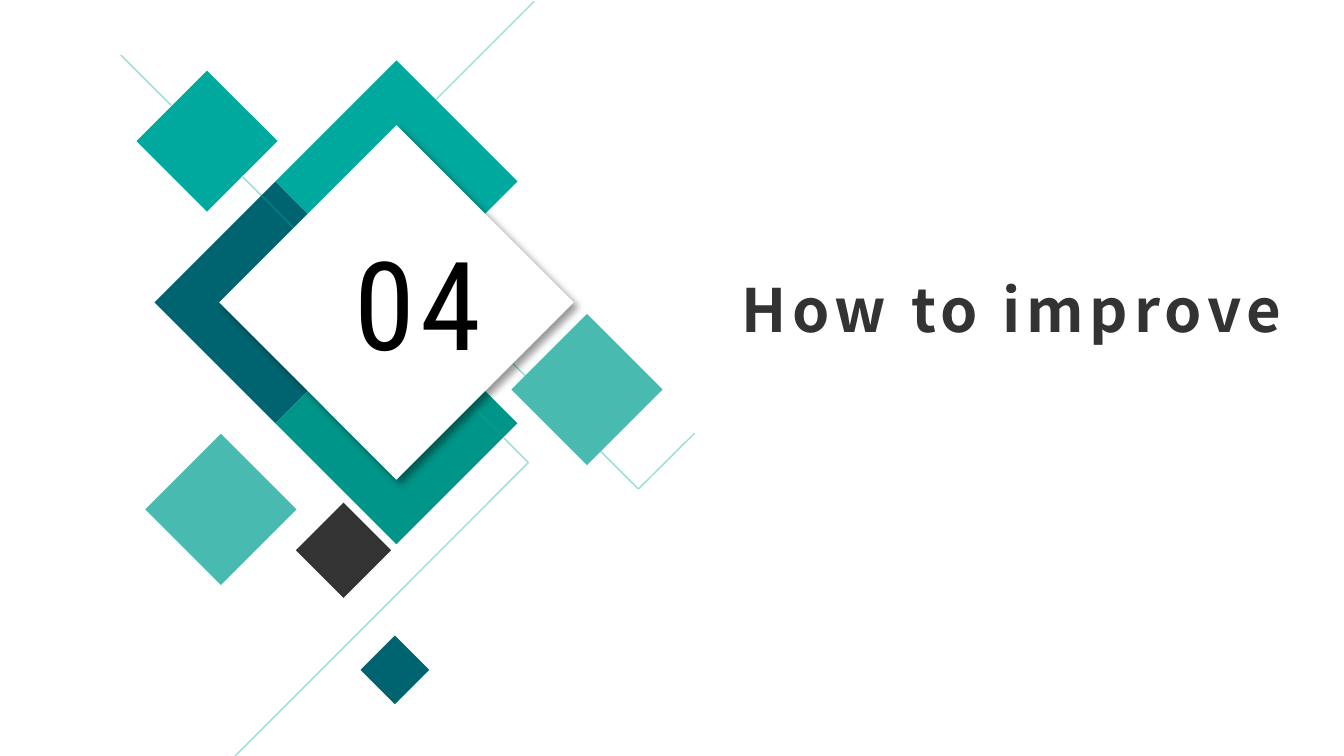
from itertools import pairwise

from lxml import etree
from pptx import Presentation
from pptx.dml.color import RGBColor
from pptx.enum.shapes import MSO_CONNECTOR as Connector, MSO_SHAPE as Shape
from pptx.oxml.ns import qn
from pptx.util import Pt

COLORS = {
    "petrol": "006470", "teal": "00A99D", "green": "009589",
    "aqua": "49BAAF", "mint": "99DDD8", "deep": "008082",
    "leaf": "009D91", "ink": "333333", "white": "FFFFFF", "black": "000000",
}
ARM = 64.8  # half the diagonal of the three squares behind the number

# Offsets are measured from the middle of the emblem: color, x, y, half diagonal
BACK_SQUARES = [
    ("petrol", -ARM, 0, ARM),
    ("teal", 0, -ARM, ARM),
    ("teal", -101.5, -86.4, 37.8),
    ("green", 0, ARM, ARM),
    ("ink", -28.4, 132.8, 25.5),
]
FRONT_SQUARES = [
    ("aqua", 102.1, 46.7, 40.5),
    ("aqua", -94, 110.9, 40.5),
    ("petrol", -0.8, 196.9, 18.4),
]
TRACES = [
    ("mint", [(73.8, -161.3), (21.2, -108.7)]),
    ("mint", [(14.8, -14.8), (129.6, 100), (159.8, 70)]),
    ("mint", [(-147.6, -132.5), (-120.6, -105.5)]),
    ("mint", [(-82.8, -67.7), (-72.4, -57.3)]),
    ("deep", [(-72.4, -57.3), (-7.6, 7.5)]),
    ("leaf", [(-7.6, 7.5), (57.2, 72.3)]),
    ("mint", [(57.2, 72.3), (70.7, 85.8), (-86.4, 243)]),
]


def rgb(name):
    return RGBColor.from_string(COLORS[name])


def add_square(page, color, x, y, radius):
    """Place a square standing on its corner around the point x, y."""
    square = page.shapes.add_shape(
        Shape.DIAMOND, Pt(x - radius), Pt(y - radius), Pt(2 * radius), Pt(2 * radius))
    square.shadow.inherit = False
    square.fill.solid()
    square.fill.fore_color.rgb = rgb(color)
    square.line.fill.background()
    return square


def add_trace(page, color, points):
    for (x1, y1), (x2, y2) in pairwise(points):
        line = page.shapes.add_connector(
            Connector.STRAIGHT, Pt(x1), Pt(y1), Pt(x2), Pt(y2))
        line.line.color.rgb = rgb(color)
        line.line.width = Pt(0.75)
        etree.SubElement(line._element.spPr, qn("a:effectLst"))


def cast_shadow(shape):
    effects = shape._element.spPr.find(qn("a:effectLst"))
    shadow = etree.SubElement(
        effects, qn("a:outerShdw"), blurRad=str(Pt(4)), dist=str(Pt(3)),
        dir=str(45 * 60000), algn="tl", rotWithShape="0")
    color = etree.SubElement(shadow, qn("a:srgbClr"), val=COLORS["black"])
    etree.SubElement(color, qn("a:alpha"), val="40000")


def add_text(page, left, top, width, height, text, font, size, color, bold=False):
    box = page.shapes.add_textbox(Pt(left), Pt(top), Pt(width), Pt(height))
    box.text_frame.word_wrap = True
    span = box.text_frame.paragraphs[0].add_run()
    span.text = text
    span.font.name = font
    span.font.size = Pt(size)
    span.font.bold = bold
    span.font.color.rgb = rgb(color)
    span._r.get_or_add_rPr().set("spc", "300")


def add_emblem(page, x, y, number):
    """Draw the cluster of squares around the point x, y, with the number in it."""
    for color, dx, dy, radius in BACK_SQUARES:
        add_square(page, color, x + dx, y + dy, radius)
    for color, points in TRACES:
        add_trace(page, color, [(x + dx, y + dy) for dx, dy in points])
    cast_shadow(add_square(page, "white", x, y, 95))
    for color, dx, dy, radius in FRONT_SQUARES:
        add_square(page, color, x + dx, y + dy, radius)
    add_text(page, x - 29.5, y - 44, 85, 87, number, "Roboto Condensed", 66, "black")


def add_section_page(deck, number, title):
    page = deck.slides.add_slide(deck.slide_layouts[6])
    add_text(page, 390.2, 142.5, 326, 46, title, "Noto Sans CJK SC", 32, "ink", True)
    add_emblem(page, 212.4, 162, number)


def main():
    deck = Presentation()
    deck.slide_width, deck.slide_height = Pt(720), Pt(405)
    add_section_page(deck, "04", "How to improve")
    deck.save("out.pptx")


if __name__ == "__main__":
    main()
